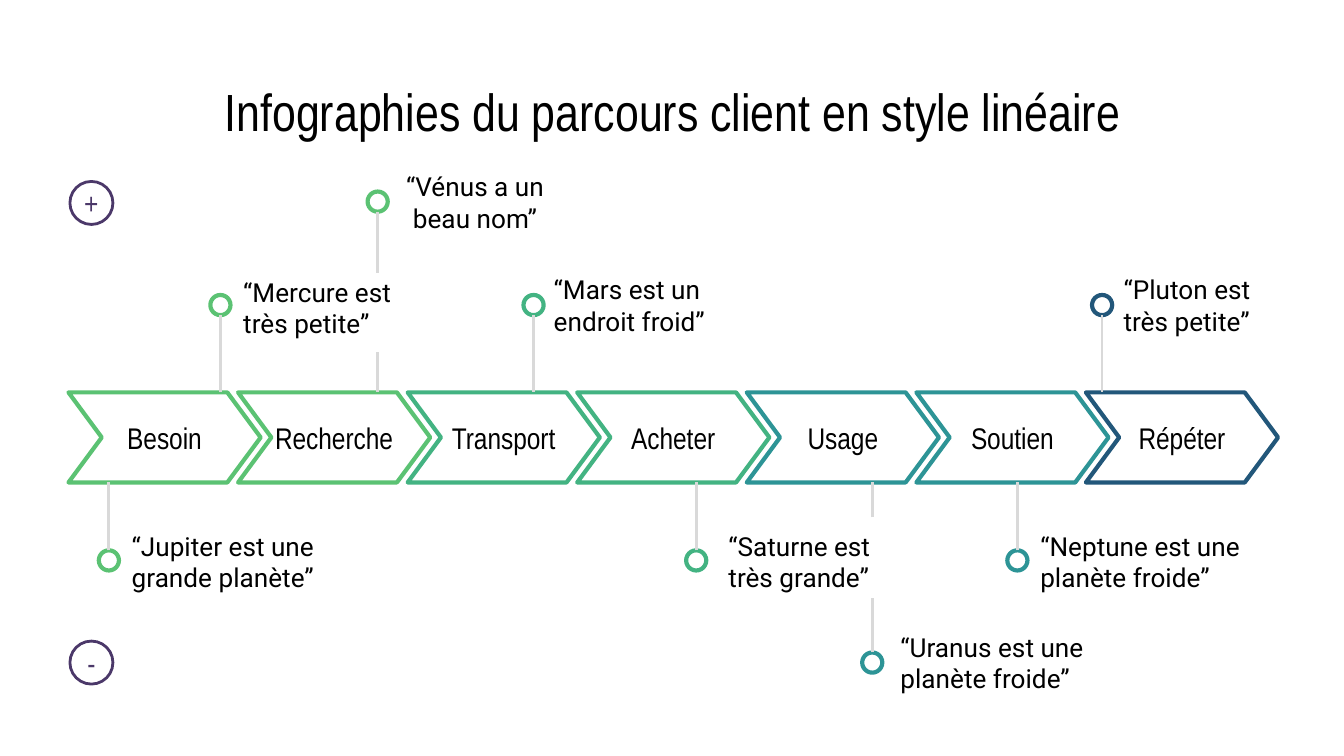
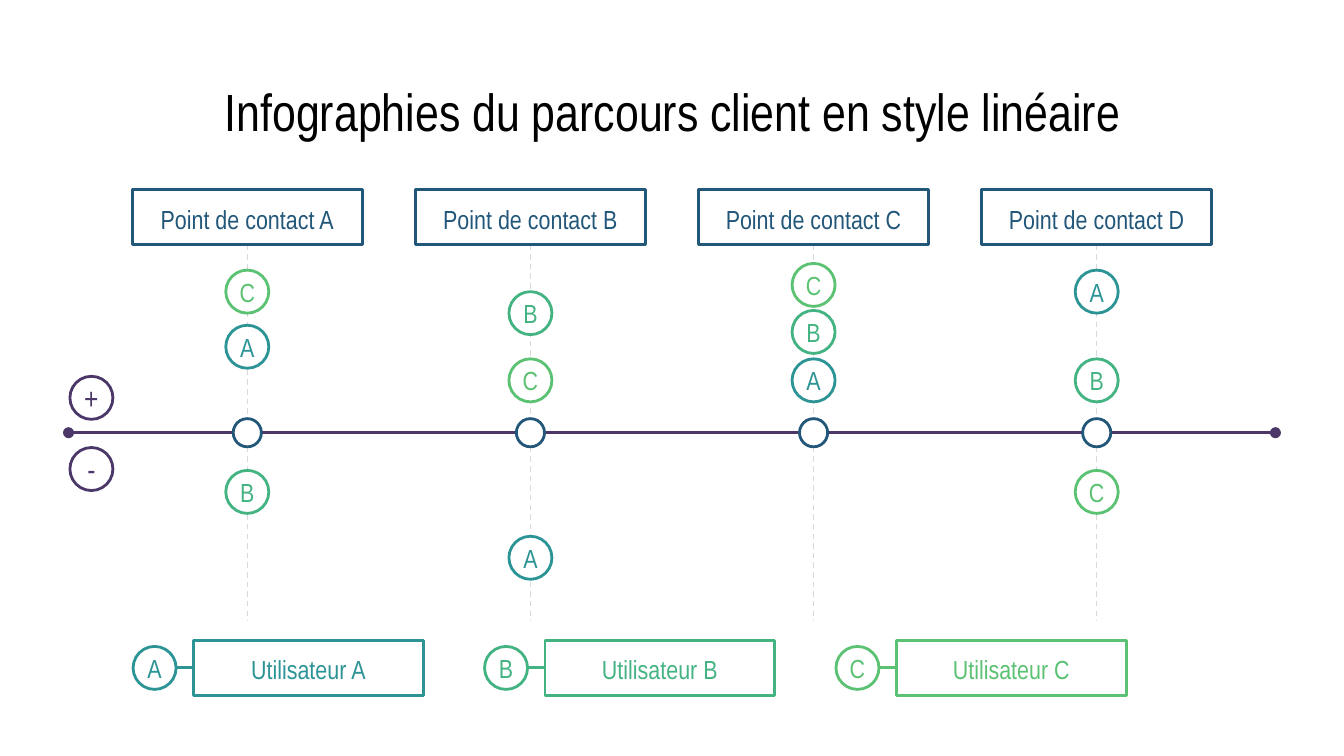
import lxml.etree
import pptx
import pptx.dml.color
import pptx.enum.dml
import pptx.enum.shapes
import pptx.enum.text
import pptx.oxml.ns
import pptx.util

Inches = pptx.util.Inches
Pt = pptx.util.Pt
SHAPE = pptx.enum.shapes.MSO_SHAPE
ANCHOR = pptx.enum.text.MSO_ANCHOR
ALIGN = pptx.enum.text.PP_ALIGN

COLORS = {
    "black": "000000",
    "white": "FFFFFF",
    "gray": "D9D9D9",
    "purple": "4B3869",
    "navy": "22577A",
    "teal": "2D9496",
    "green": "43B382",
    "lime": "5BC273",
}
SLIDE_WIDTH = 10
HEADING_FONT = "Arial Narrow"
BODY_FONT = "Roboto"
TITLE = "Infographies du parcours client en style linéaire"
BADGE_SIZE = 0.32
SIGN_X = 0.68
BOX_WIDTH, BOX_HEIGHT = 1.71, 0.41

STEPS = [
    ("Besoin", "lime"), ("Recherche", "lime"), ("Transport", "green"),
    ("Acheter", "green"), ("Usage", "teal"), ("Soutien", "teal"),
    ("Répéter", "navy"),
]
FIRST_STEP_LEFT, LAST_STEP_LEFT = 0.51, 8.08
STEP_TOP, STEP_BOTTOM = 2.92, 3.59
DOT_SIZE = 0.15

# Text, text box, dot centre, colour, alignment, gap in the stem
QUOTES = [
    ("“Jupiter est une grande planète”", (0.98, 3.79, 1.49, 0.78), (0.81, 4.17), "lime", ALIGN.LEFT, None),
    ("“Mercure est très petite”", (1.81, 1.9, 1.39, 0.78), (1.64, 2.27), "lime", ALIGN.LEFT, None),
    ("“Vénus a un beau nom”", (2.95, 1.19, 1.17, 0.63), (2.81, 1.5), "lime", ALIGN.CENTER, (2.03, 2.62)),
    ("“Mars est un endroit froid”", (4.12, 1.88, 1.43, 0.78), (3.97, 2.27), "green", ALIGN.LEFT, None),
    ("“Saturne est très grande”", (5.42, 3.79, 1.39, 0.78), (5.18, 4.17), "green", ALIGN.LEFT, None),
    ("“Uranus est une planète froide”", (6.7, 4.54, 1.43, 0.78), (6.49, 4.93), "teal", ALIGN.LEFT, (4.45, 3.85)),
    ("“Neptune est une planète froide”", (7.74, 3.79, 1.49, 0.78), (7.57, 4.17), "teal", ALIGN.LEFT, None),
    ("“Pluton est très petite”", (8.36, 1.88, 1.22, 0.78), (8.2, 2.27), "navy", ALIGN.LEFT, None),
]

USERS = {"A": "teal", "B": "green", "C": "lime"}
FIRST_USER_X, LAST_USER_X, USER_Y = 1.15, 6.38, 4.97
# Heights of the users' badges at each touchpoint
TOUCHPOINTS = {
    "A": {"A": 2.58, "B": 3.66, "C": 2.17},
    "B": {"C": 2.83, "B": 2.33, "A": 4.15},
    "C": {"A": 2.83, "B": 2.47, "C": 2.12},
    "D": {"C": 3.66, "A": 2.17, "B": 2.83},
}
FIRST_TOUCHPOINT_X, LAST_TOUCHPOINT_X = 1.84, 8.16
TOUCHPOINT_TOP, AXIS_Y, GUIDE_BOTTOM = 1.41, 3.22, 4.62
NODE_SIZE = 0.21


def rgb(color):
    return pptx.dml.color.RGBColor.from_string(COLORS[color])


def spread(first, last, count):
    """Return count equally spaced positions from first to last."""
    pitch = (last - first) / (count - 1)
    return [first + index * pitch for index in range(count)]


def write_text(shape, text, size, color="black", font=HEADING_FONT,
               align=ALIGN.CENTER, anchor=ANCHOR.MIDDLE, inset=0):
    frame = shape.text_frame
    frame.text = text
    frame.word_wrap = True
    frame.auto_size = pptx.enum.text.MSO_AUTO_SIZE.NONE
    frame.vertical_anchor = anchor
    frame.margin_left = frame.margin_right = Inches(inset)
    frame.margin_top = frame.margin_bottom = Inches(inset)
    paragraph = frame.paragraphs[0]
    paragraph.alignment = align
    run_font = paragraph.runs[0].font
    run_font.name = font
    run_font.size = Pt(size)
    run_font.color.rgb = rgb(color)


def add_outline(shapes, kind, box, color, width=1.5, fill=None):
    shape = shapes.add_shape(kind, *map(Inches, box))
    shape.shadow.inherit = False
    if fill:
        shape.fill.solid()
        shape.fill.fore_color.rgb = rgb(fill)
    else:
        shape.fill.background()
    shape.line.color.rgb = rgb(color)
    shape.line.width = Pt(width)
    return shape


def add_circle(shapes, x, y, size, color, width=1.5, fill=None):
    """Add a circle centred on x, y."""
    box = (x - size / 2, y - size / 2, size, size)
    return add_outline(shapes, SHAPE.OVAL, box, color, width, fill)


def add_badge(shapes, letter, x, y, color, size=14, fill="white"):
    badge = add_circle(shapes, x, y, BADGE_SIZE, color, fill=fill)
    write_text(badge, letter, size, color)


def add_signs(slide, plus_y, minus_y):
    for sign, y in (("+", plus_y), ("-", minus_y)):
        add_badge(slide.shapes, sign, SIGN_X, y, "purple", size=16, fill=None)


def add_label_box(shapes, text, left, top, color):
    box = add_outline(shapes, SHAPE.RECTANGLE, (left, top, BOX_WIDTH, BOX_HEIGHT), color)
    write_text(box, text, 14, color, anchor=ANCHOR.TOP, inset=0.1)
    return box


def add_line(shapes, start, end, color, width=1.5, dashed=False):
    line = shapes.add_connector(
        pptx.enum.shapes.MSO_CONNECTOR.STRAIGHT, *map(Inches, start + end))
    line.line.color.rgb = rgb(color)
    line.line.width = Pt(width)
    if dashed:
        line.line.dash_style = pptx.enum.dml.MSO_LINE.DASH
    lxml.etree.SubElement(line._element.spPr, pptx.oxml.ns.qn("a:effectLst"))
    return line


def add_oval_ends(line):
    outline = line.get_or_add_ln()
    for end in ("a:headEnd", "a:tailEnd"):
        lxml.etree.SubElement(outline, pptx.oxml.ns.qn(end), type="oval")


def add_titled_slide(presentation):
    slide = presentation.slides.add_slide(presentation.slide_layouts[5])
    title = slide.shapes.title
    title.left, title.top = Inches(0.5), Inches(0.49)
    title.width, title.height = Inches(9), Inches(0.63)
    write_text(title, TITLE, 28, anchor=ANCHOR.TOP, inset=0.1)
    return slide


def add_steps(slide):
    lefts = spread(FIRST_STEP_LEFT, LAST_STEP_LEFT, len(STEPS))
    for left, (name, color) in zip(lefts, STEPS):
        box = (left, STEP_TOP, 1.43, STEP_BOTTOM - STEP_TOP)
        chevron = add_outline(slide.shapes, SHAPE.CHEVRON, box, color, 2.25)
        chevron.adjustments[0] = 0.37
        write_text(chevron, name, 16)


def add_quote(slide, text, box, dot, color, align, gap):
    """Add a quote with its dot and the stem that leads to the steps."""
    text_box = slide.shapes.add_textbox(*map(Inches, box))
    write_text(text_box, text, 14, font=BODY_FONT, align=align)
    x, y = dot
    add_circle(slide.shapes, x, y, DOT_SIZE, color, 2.25)
    if y < STEP_TOP:
        start, end = y + DOT_SIZE / 2, STEP_TOP
    else:
        start, end = y - DOT_SIZE / 2, STEP_BOTTOM
    stops = [start, *(gap or ()), end]
    for from_y, to_y in zip(stops[::2], stops[1::2]):
        add_line(slide.shapes, (x, from_y), (x, to_y), "gray")


def add_touchpoint(slide, name, x, marks):
    shapes = slide.shapes
    guides = [
        add_line(shapes, (x, top), (x, bottom), "gray", 0.75, dashed=True)
        for top, bottom in (
            (TOUCHPOINT_TOP + BOX_HEIGHT, AXIS_Y - NODE_SIZE / 2),
            (AXIS_Y + NODE_SIZE / 2, GUIDE_BOTTOM),
        )
    ]
    box = add_label_box(shapes, f"Point de contact {name}",
                        x - BOX_WIDTH / 2, TOUCHPOINT_TOP, "navy")
    guides[0].begin_connect(box, 2)
    add_circle(shapes, x, AXIS_Y, NODE_SIZE, "navy", fill="white")
    for user, y in marks.items():
        add_badge(shapes, user, x, y, USERS[user])


def add_user(slide, name, x, color):
    """Add a legend entry: badge, link and box in one group."""
    shapes = slide.shapes.add_group_shape().shapes
    box_left = x + 0.29
    box = add_label_box(shapes, f"Utilisateur {name}", box_left,
                        USER_Y - BOX_HEIGHT / 2, color)
    add_badge(shapes, name, x, USER_Y, color)
    link = add_line(shapes, (x + BADGE_SIZE / 2, USER_Y), (box_left, USER_Y), color)
    link.end_connect(box, 1)


def build_quotes_slide(presentation):
    slide = add_titled_slide(presentation)
    add_steps(slide)
    for quote in QUOTES:
        add_quote(slide, *quote)
    add_signs(slide, 1.51, 4.93)


def build_touchpoints_slide(presentation):
    slide = add_titled_slide(presentation)
    axis = add_line(slide.shapes, (0.51, AXIS_Y), (9.49, AXIS_Y), "purple")
    add_oval_ends(axis)
    centers = spread(FIRST_TOUCHPOINT_X, LAST_TOUCHPOINT_X, len(TOUCHPOINTS))
    for x, (name, marks) in zip(centers, TOUCHPOINTS.items()):
        add_touchpoint(slide, name, x, marks)
    add_signs(slide, 2.96, 3.49)
    centers = spread(FIRST_USER_X, LAST_USER_X, len(USERS))
    for x, (name, color) in zip(centers, USERS.items()):
        add_user(slide, name, x, color)


def main():
    presentation = pptx.Presentation()
    presentation.slide_width = Inches(SLIDE_WIDTH)
    presentation.slide_height = Inches(SLIDE_WIDTH * 9 / 16)
    build_quotes_slide(presentation)
    build_touchpoints_slide(presentation)
    presentation.save("out.pptx")


if __name__ == "__main__":
    main()
